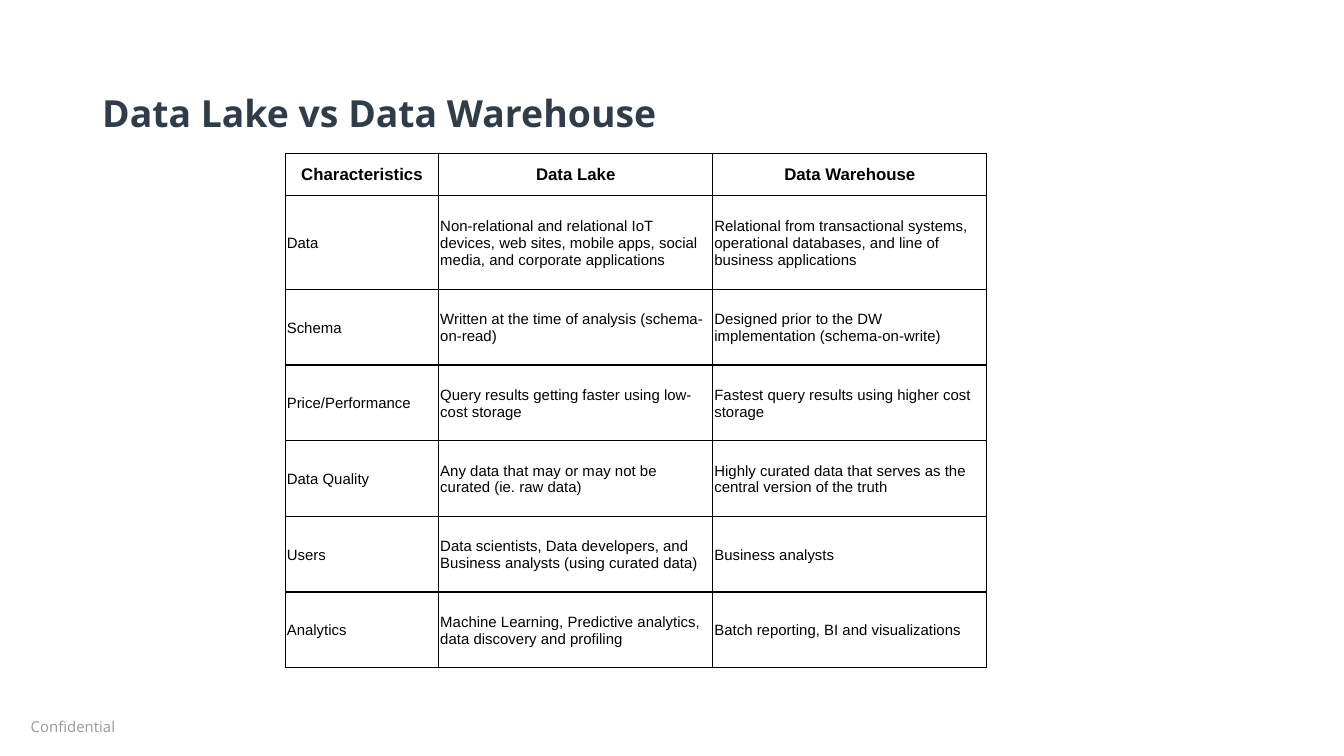
from dataclasses import dataclass

from lxml import etree
from pptx import Presentation
from pptx import util as u
from pptx.dml.color import RGBColor
from pptx.enum import text as t
from pptx.oxml import ns


@dataclass(frozen=True)
class Theme:
    """Colours, fonts and type sizes of the slide."""
    ink: str = "000000"
    heading: str = "2E3D49"
    muted: str = "999999"
    display_font: str = "Open Sans"
    table_font: str = "Arial"
    title_size: float = 20
    header_size: float = 9
    body_size: float = 8
    border_width: float = 0.75


THEME = Theme()
INSET = 0.25
CELL_INSET = 0.03
COLUMN_WIDTHS = [2.9, 5.18, 5.18]
ROW_HEIGHTS = [0.79, 1.78] + [1.43] * 5
COMPARISON = [
    ("Characteristics", "Data Lake", "Data Warehouse"),
    ("Data",
     "Non-relational and relational IoT devices, web sites, mobile apps, social media, and corporate applications",
     "Relational from transactional systems, operational databases, and line of business applications"),
    ("Schema",
     "Written at the time of analysis (schema-on-read)",
     "Designed prior to the DW implementation (schema-on-write)"),
    ("Price/Performance",
     "Query results getting faster using low-cost storage",
     "Fastest query results using higher cost storage"),
    ("Data Quality",
     "Any data that may or may not be curated (ie. raw data)",
     "Highly curated data that serves as the central version of the truth"),
    ("Users",
     "Data scientists, Data developers, and Business analysts (using curated data)",
     "Business analysts"),
    ("Analytics",
     "Machine Learning, Predictive analytics, data discovery and profiling",
     "Batch reporting, BI and visualizations"),
]


def write_text(frame, content, *, size, color=THEME.ink, font=THEME.display_font,
               bold=False, align=t.PP_ALIGN.LEFT):
    """Put one formatted paragraph into a text frame."""
    frame.word_wrap = True
    paragraph = frame.paragraphs[0]
    paragraph.alignment = align
    run = paragraph.add_run()
    run.text = content
    run.font.name = font
    run.font.size = u.Pt(size)
    run.font.bold = bold
    run.font.color.rgb = RGBColor.from_string(color)


def set_margins(target, left, top, right, bottom):
    """Set the inner margins of a text frame or cell in centimetres."""
    target.margin_left, target.margin_top = u.Cm(left), u.Cm(top)
    target.margin_right, target.margin_bottom = u.Cm(right), u.Cm(bottom)


def outline_cell(cell):
    """Draw a solid line on all four sides of a table cell."""
    properties = cell._tc.get_or_add_tcPr()
    for side in ("a:lnL", "a:lnR", "a:lnT", "a:lnB"):
        line = etree.SubElement(properties, ns.qn(side), w=str(u.Pt(THEME.border_width)))
        fill = etree.SubElement(line, ns.qn("a:solidFill"))
        etree.SubElement(fill, ns.qn("a:srgbClr"), val=THEME.ink)


def place_title(slide, content, left, top, width, height):
    """Move the title placeholder into its box and fill it."""
    title = slide.shapes.title
    title.left, title.top = u.Cm(left), u.Cm(top)
    title.width, title.height = u.Cm(width), u.Cm(height)
    frame = title.text_frame
    frame.auto_size = t.MSO_AUTO_SIZE.NONE
    frame.vertical_anchor = t.MSO_ANCHOR.MIDDLE
    set_margins(frame, INSET, INSET, INSET, INSET)
    write_text(frame, content, size=THEME.title_size, color=THEME.heading, bold=True)


def place_footer(slide, content, left, top, width, height):
    """Add the footer note in its box."""
    footer = slide.shapes.add_textbox(u.Cm(left), u.Cm(top), u.Cm(width), u.Cm(height))
    set_margins(footer.text_frame, INSET, INSET, INSET, INSET)
    write_text(footer.text_frame, content, size=THEME.body_size, color=THEME.muted)


def place_comparison(slide, rows, left, top, width, height):
    """Add the comparison table, sharing its box by the row and column proportions."""
    table = slide.shapes.add_table(len(rows), len(rows[0]), u.Cm(left), u.Cm(top),
                                   u.Cm(width), u.Cm(height)).table
    table.first_row = table.horz_banding = False
    for column, share in zip(table.columns, COLUMN_WIDTHS):
        column.width = u.Cm(width * share / sum(COLUMN_WIDTHS))
    for row, share in zip(table.rows, ROW_HEIGHTS):
        row.height = u.Cm(height * share / sum(ROW_HEIGHTS))
    for row_index, row in enumerate(rows):
        header = row_index == 0
        for column_index, content in enumerate(row):
            cell = table.cell(row_index, column_index)
            outline_cell(cell)
            cell.fill.background()
            cell.vertical_anchor = t.MSO_ANCHOR.MIDDLE
            set_margins(cell, CELL_INSET, CELL_INSET, CELL_INSET, 0)
            write_text(cell.text_frame, content, font=THEME.table_font, bold=header,
                       size=THEME.header_size if header else THEME.body_size,
                       align=t.PP_ALIGN.CENTER if header else t.PP_ALIGN.LEFT)


def main():
    """Build the slide and save it."""
    presentation = Presentation()
    presentation.slide_width, presentation.slide_height = u.Cm(25.4), u.Cm(14.29)
    slide = presentation.slides.add_slide(presentation.slide_layouts.get_by_name("Title Only"))
    place_footer(slide, "Confidential", 0.33, 13.39, 5.77, 0.46)
    place_title(slide, "Data Lake vs Data Warehouse", 1.68, 1.32, 22.05, 1.6)
    place_comparison(slide, COMPARISON, 5.39, 2.9, sum(COLUMN_WIDTHS), sum(ROW_HEIGHTS))
    presentation.save("out.pptx")


if __name__ == "__main__":
    main()
